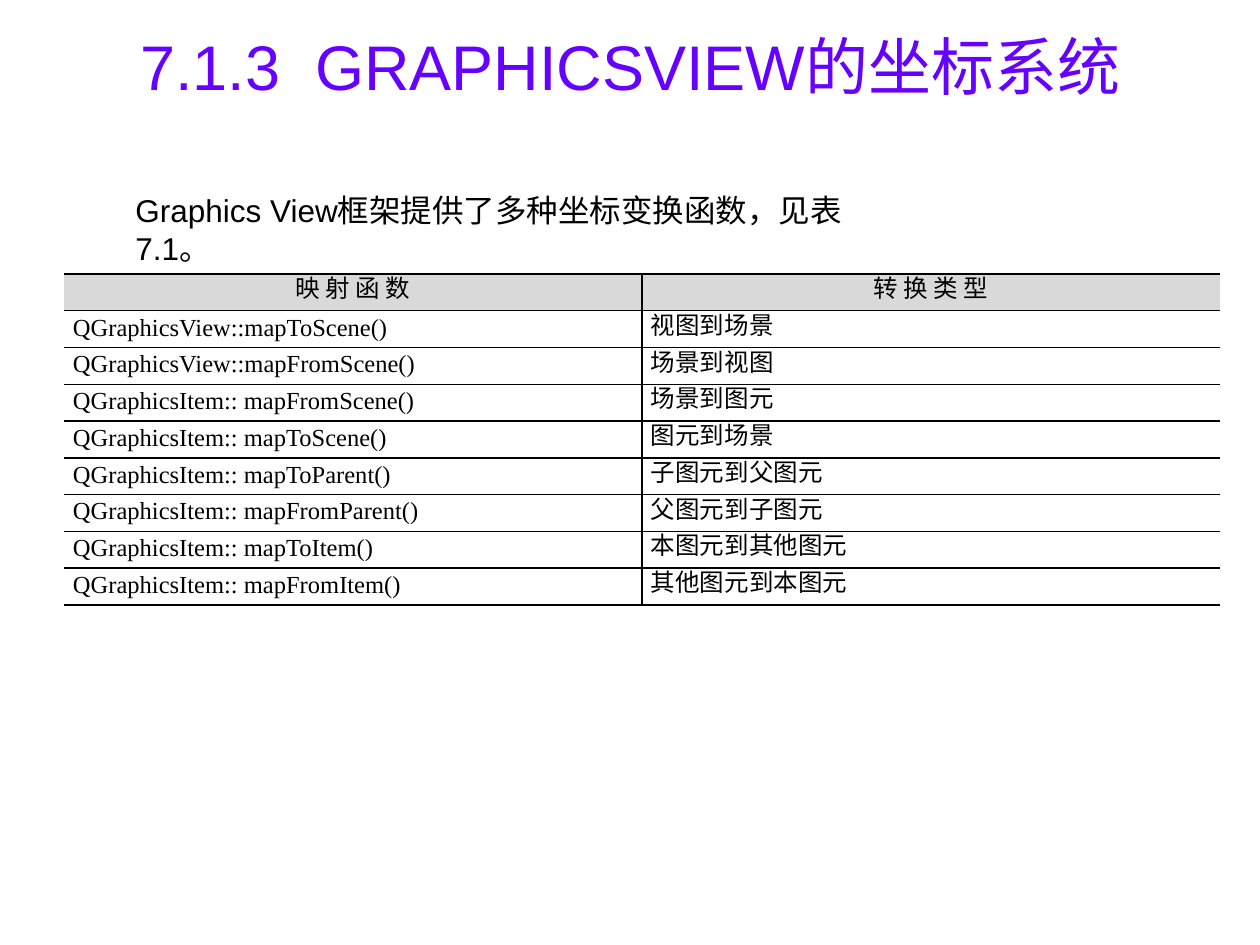
from lxml import etree
from pptx import Presentation
from pptx import util as u
from pptx.dml.color import RGBColor
from pptx.enum import text
from pptx.oxml import ns

TITLE = "7.1.3  GRAPHICSVIEW的坐标系统"
INTRO = "Graphics View框架提供了多种坐标变换函数，见表7.1。"
MAPPINGS = [
    ("映 射 函 数", "转 换 类 型"),
    ("QGraphicsView::mapToScene()", "视图到场景"),
    ("QGraphicsView::mapFromScene()", "场景到视图"),
    ("QGraphicsItem:: mapFromScene()", "场景到图元"),
    ("QGraphicsItem:: mapToScene()", "图元到场景"),
    ("QGraphicsItem:: mapToParent()", "子图元到父图元"),
    ("QGraphicsItem:: mapFromParent()", "父图元到子图元"),
    ("QGraphicsItem:: mapToItem()", "本图元到其他图元"),
    ("QGraphicsItem:: mapFromItem()", "其他图元到本图元"),
]
COLORS = {"title": "6600FF", "text": "000000", "header": "D9D9D9", "body": "FFFFFF"}
TITLE_BOX = (42, 6, 1177, 119)
INTRO_BOX = (123, 185, 791, 51)
TABLE_BOX = (64, 274, 1156, 331)
SCALE = 914400 / 126


def px(value):
    return u.Emu(round(value * SCALE))


def write(frame, content, size, font, color, align, anchor):
    frame.text = content
    frame.word_wrap = True
    frame.vertical_anchor = anchor
    paragraph = frame.paragraphs[0]
    paragraph.alignment = align
    for run in paragraph.runs:
        run.font.size = u.Pt(size)
        run.font.name = font
        run.font.bold = False
        run.font.color.rgb = RGBColor.from_string(COLORS[color])
    return paragraph


def add_text(slide, box, *style):
    shape = slide.shapes.add_textbox(*map(px, box))
    write(shape.text_frame, *style)


def set_borders(cell, visible):
    properties = cell._tc.get_or_add_tcPr()
    for index, side in enumerate("LRTB"):
        line = etree.Element(ns.qn(f"a:ln{side}"), w=str(u.Pt(1)))
        if side in visible:
            fill = etree.SubElement(line, ns.qn("a:solidFill"))
            etree.SubElement(fill, ns.qn("a:srgbClr"), val=COLORS["text"])
        else:
            etree.SubElement(line, ns.qn("a:noFill"))
        properties.insert(index, line)


def add_mapping_table(slide):
    rows, columns = len(MAPPINGS), len(MAPPINGS[0])
    table = slide.shapes.add_table(rows, columns, *map(px, TABLE_BOX)).table
    table.first_row = table.horz_banding = False
    for column in table.columns:
        column.width = px(TABLE_BOX[2] / columns)
    for row_index, values in enumerate(MAPPINGS):
        table.rows[row_index].height = px(TABLE_BOX[3] / rows)
        header = row_index == 0
        align = text.PP_ALIGN.CENTER if header else text.PP_ALIGN.JUSTIFY
        for column_index, value in enumerate(values):
            cell = table.cell(row_index, column_index)
            cell.margin_left = cell.margin_right = px(9)
            cell.margin_top = cell.margin_bottom = 0
            paragraph = write(cell.text_frame, value, 14, "Times New Roman", "text",
                              align, None)
            paragraph.line_spacing = u.Pt(14)
            cell.vertical_anchor = text.MSO_ANCHOR.MIDDLE
            cell.fill.solid()
            cell.fill.fore_color.rgb = RGBColor.from_string(
                COLORS["header" if header else "body"])
            set_borders(cell, "LTB" if column_index else "RTB")


def main():
    presentation = Presentation()
    presentation.slide_width = px(1260)
    presentation.slide_height = px(945)
    slide = presentation.slides.add_slide(presentation.slide_layouts[6])
    add_text(slide, TITLE_BOX, TITLE, 36, "Arial", "title",
             text.PP_ALIGN.CENTER, text.MSO_ANCHOR.MIDDLE)
    add_text(slide, INTRO_BOX, INTRO, 18, "Arial", "text",
             text.PP_ALIGN.LEFT, text.MSO_ANCHOR.TOP)
    add_mapping_table(slide)
    presentation.save("out.pptx")


if __name__ == "__main__":
    main()
